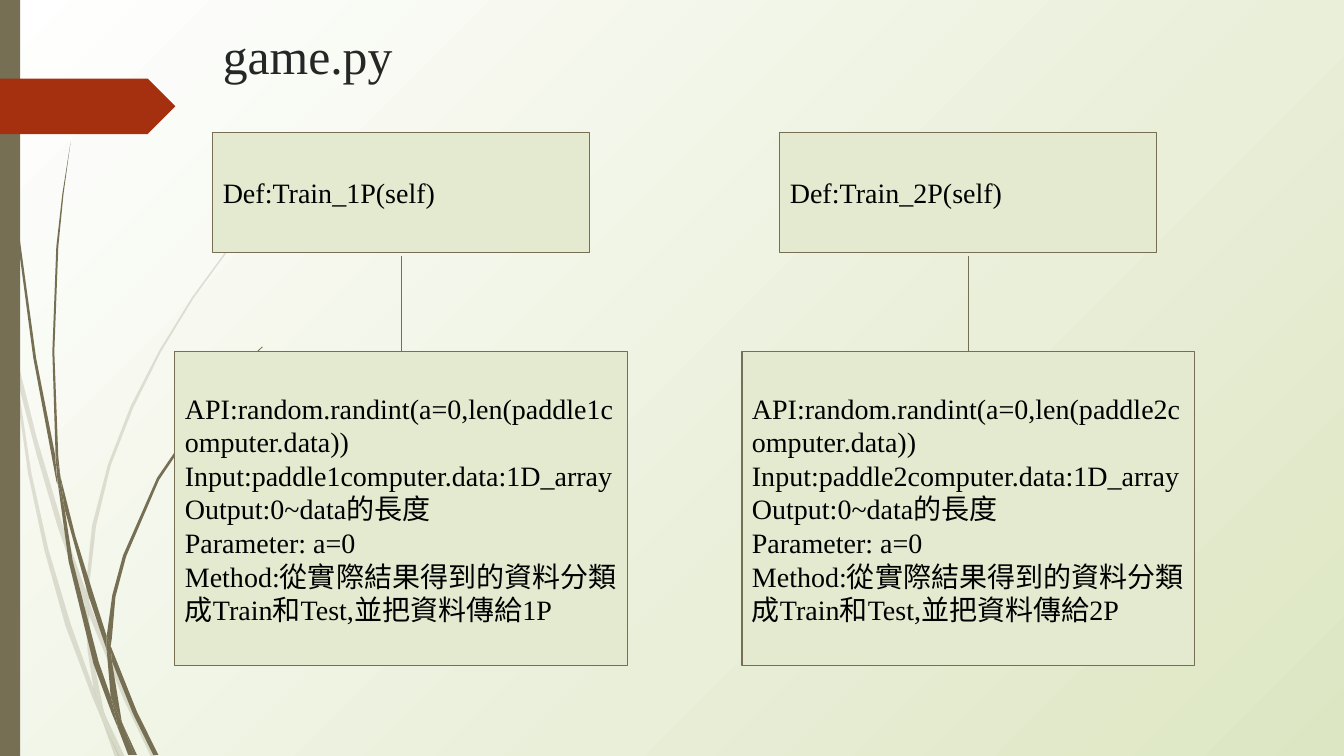
from dataclasses import dataclass

from lxml.etree import SubElement
from pptx import Presentation
from pptx.dml.color import RGBColor
from pptx.enum.shapes import MSO_CONNECTOR as Link, MSO_SHAPE as Preset
from pptx.enum.text import MSO_ANCHOR as Anchor, MSO_AUTO_SIZE as AutoSize, PP_ALIGN as Align
from pptx.oxml.ns import qn
from pptx.util import Cm, Pt


@dataclass(frozen=True)
class Theme:
    """Colours, font and type sizes of the slide."""
    olive: RGBColor = RGBColor(0x76, 0x6F, 0x54)
    rust: RGBColor = RGBColor(0xA5, 0x30, 0x10)
    panel: RGBColor = RGBColor(0xE3, 0xEA, 0xCF)
    white: RGBColor = RGBColor(0xFF, 0xFF, 0xFF)
    meadow: RGBColor = RGBColor(0xDD, 0xE6, 0xC3)
    heading: RGBColor = RGBColor(0x26, 0x26, 0x26)
    ink: RGBColor = RGBColor(0, 0, 0)
    font: str = "Times New Roman"
    title_size: float = 35.5
    body_size: float = 20
    outline: float = 0.75


@dataclass(frozen=True)
class Box:
    """A region of the slide, in centimetres."""
    left: float
    top: float
    width: float
    height: float

    def lengths(self):
        """Return the four measures as slide lengths."""
        return Cm(self.left), Cm(self.top), Cm(self.width), Cm(self.height)


THEME = Theme()
PAGE = Box(0, 0, 33.87, 19.05)

PALE_BLADES = [
    [(0.28, 8.89), (0.23, 8.18), (0, 7.16), (0, 7.59), (0.25, 8.74)],
    [(1.45, 13.26), (2.13, 15.21), (2.16, 14.88), (1.57, 13.21), (0.92, 11.01), (0.36, 8.76),
     (0.43, 9.55), (0.91, 11.41)],
    [(2.34, 15.42), (2.24, 15.14), (2.24, 15.49), (3.12, 17.63), (3.81, 19.08), (3.94, 19.08),
     (3.23, 17.58)],
    [(3.02, 19.08), (3.15, 19.08), (2.67, 18.06)],
    [(2.36, 17.35), (1.78, 15.72), (1.22, 13.84), (0.79, 11.91), (0.43, 9.55), (0.28, 8.89),
     (0.71, 11.94), (1.12, 13.87), (1.65, 15.77), (2.34, 17.6), (2.57, 18.14), (2.51, 17.96)],
    [(2.13, 15.21), (2.21, 16.41), (2.36, 17.35), (2.44, 17.58), (2.67, 18.06), (2.62, 17.93),
     (2.31, 16.41), (2.24, 15.49), (2.24, 15.44)],
    [(2.24, 14.83), (2.42, 13.26), (2.79, 11.73), (3.36, 10.27), (4.06, 8.86), (4.88, 7.51),
     (5.82, 6.22), (6.81, 5.03), (7.37, 4.45), (7.92, 3.91), (7.92, 3.89), (7.34, 4.45),
     (6.81, 5), (5.79, 6.2), (4.85, 7.48), (4.01, 8.84), (3.29, 10.24), (2.72, 11.71),
     (2.32, 13.25), (2.16, 14.83), (2.16, 14.88), (2.24, 15.14)],
    [(2.57, 18.14), (2.9, 19.08), (3.02, 19.08)],
    [(2.24, 15.44), (2.24, 15.49), (2.24, 15.14), (2.16, 14.88), (2.13, 15.21)],
    [(2.44, 17.58), (2.36, 17.35), (2.51, 17.96), (2.57, 18.14), (3, 19.08), (3.02, 19.08),
     (2.67, 18.06)],
]
DARK_BLADES = [
    [(0.18, 2.79), (0.43, 5.92), (0.84, 9.02), (1.42, 12.12), (1.45, 12.22), (1.4, 11.61),
     (1.4, 11.51), (0.91, 9.02), (0.48, 5.89), (0.2, 2.77), (0.13, 1.22), (0.1, 0),
     (0.08, 0), (0.1, 1.22)],
    [(2.24, 15.04), (2.69, 16.38), (2.69, 16.08), (2.69, 16.03), (2.36, 14.99), (1.9, 13.51),
     (1.52, 11.99), (1.63, 12.83)],
    [(2.87, 16.48), (2.79, 16.28), (2.82, 16.66), (3.35, 17.98), (3.86, 19.02), (3.99, 19.02),
     (3.45, 17.93)],
    [(2.79, 17.55), (2.49, 16.69), (1.83, 14.12), (1.63, 12.83), (1.45, 12.12), (1.73, 14.15),
     (2.36, 16.74), (2.82, 17.98), (2.97, 18.34), (2.95, 18.21)],
    [(1.52, 11.99), (1.47, 11.51), (1.37, 8.86), (1.47, 6.22), (1.6, 4.9), (1.78, 3.58),
     (1.57, 4.9), (1.42, 6.22), (1.32, 8.86), (1.4, 11.4)],
    [(3.38, 19.02), (3.45, 19.02), (3.1, 18.26)],
    [(1.45, 12.12), (1.63, 12.83), (1.52, 11.99), (1.4, 11.4), (1.4, 11.51)],
    [(2.82, 16.08), (2.91, 15.04), (3.18, 14.02), (4.01, 12.09), (5.21, 10.31), (5.87, 9.5),
     (6.22, 9.12), (6.63, 8.74), (6.6, 8.74), (6.22, 9.09), (5.87, 9.47), (5.16, 10.29),
     (3.96, 12.04), (3.1, 14), (2.83, 15), (2.69, 16.03), (2.79, 16.28)],
    [(2.97, 18.34), (3.23, 19.02), (3.33, 19.02)],
    [(2.69, 16.38), (2.79, 17.55), (2.95, 17.93), (3.1, 18.26), (3.07, 18.19), (2.82, 16.66),
     (2.77, 16.54)],
    [(2.69, 16.38), (2.77, 16.54), (2.82, 16.66), (2.79, 16.28), (2.69, 16.03)],
    [(2.95, 17.93), (2.79, 17.55), (2.95, 18.21), (2.97, 18.34), (3.3, 19.02), (3.38, 19.02),
     (3.1, 18.26)],
]


def paint(shape, color, opacity=None):
    """Fill a shape flatly, without outline or shadow."""
    shape.shadow.inherit = False
    shape.fill.solid()
    shape.fill.fore_color.rgb = color
    shape.line.fill.background()
    if opacity is not None:
        swatch = shape._element.spPr.find(f"{qn('a:solidFill')}/{qn('a:srgbClr')}")
        SubElement(swatch, qn("a:alpha")).set("val", str(opacity * 1000))


def write(frame, lines, size, color):
    """Set left-aligned paragraphs in the theme font."""
    frame.text = "\n".join(lines)
    for paragraph in frame.paragraphs:
        paragraph.alignment = Align.LEFT
        for run in paragraph.runs:
            run.font.name = THEME.font
            run.font.size = Pt(size)
            run.font.color.rgb = color


def add_backdrop(slide):
    """Spread the gradient from the top left corner."""
    backdrop = slide.background.fill
    backdrop.gradient()
    for stop, color, position in zip(backdrop.gradient_stops, (THEME.white, THEME.meadow), (0, 1)):
        stop.color.rgb = color
        stop.position = position
    gradient = slide._element.find(f".//{qn('p:bgPr')}/{qn('a:gradFill')}")
    gradient.remove(gradient.find(qn("a:lin")))
    spread = SubElement(gradient, qn("a:path"), path="circle")
    SubElement(spread, qn("a:fillToRect"), l="0", t="0", r="100000", b="100000")


def add_blade(slide, box, edge, opacity=None):
    """Draw one piece of a grass blade from its edge points."""
    points = [(Cm(box.left + x), Cm(box.top + y)) for x, y in edge]
    outline = slide.shapes.build_freeform(*points[0], scale=1.0)
    outline.add_line_segments(points[1:], close=True)
    paint(outline.convert_to_shape(), THEME.olive, opacity)


def add_side_decoration(slide, box):
    """Draw the grass, the side bar and the arrow tag."""
    for blades, opacity in ((PALE_BLADES, 20), (DARK_BLADES, None)):
        for edge in blades:
            add_blade(slide, box, edge, opacity)
    bar = Box(box.left, box.top, 0.51, box.height)
    tag = Box(box.left, box.top + 1.98, 4.42, 1.4)
    for preset, place, color in ((Preset.RECTANGLE, bar, THEME.olive),
                                 (Preset.PENTAGON, tag, THEME.rust)):
        paint(slide.shapes.add_shape(preset, *place.lengths()), color)


def add_title(slide, box, wording):
    """Place the title placeholder in its box."""
    title = slide.shapes.title
    title.left, title.top, title.width, title.height = box.lengths()
    frame = title.text_frame
    frame.word_wrap = True
    frame.auto_size = AutoSize.NONE
    frame.vertical_anchor = Anchor.TOP
    write(frame, [wording], THEME.title_size, THEME.heading)


def add_panel(slide, box, lines):
    """Draw an outlined box holding the lines and return it."""
    panel = slide.shapes.add_shape(Preset.RECTANGLE, *box.lengths())
    paint(panel, THEME.panel)
    panel.line.color.rgb = THEME.olive
    panel.line.width = Pt(THEME.outline)
    frame = panel.text_frame
    frame.word_wrap = True
    frame.vertical_anchor = Anchor.MIDDLE
    frame.margin_left = frame.margin_right = frame.margin_top = frame.margin_bottom = Cm(0.25)
    write(frame, lines, THEME.body_size, THEME.ink)
    return panel


def add_player_column(slide, box, player):
    """Draw a training function above its details, joined by a line."""
    middle = box.left + box.width / 2
    add_panel(slide, Box(middle - 4.75, box.top, 9.5, 3.04), [f"Def:Train_{player}P(self)"])
    details = add_panel(slide, Box(box.left, box.top + 5.54, box.width, box.height - 5.54), [
        f"API:random.randint(a=0,len(paddle{player}computer.data))",
        f"Input:paddle{player}computer.data:1D_array",
        "Output:0~data的長度",
        "Parameter: a=0",
        f"Method:從實際結果得到的資料分類成Train和Test,並把資料傳給{player}P",
    ])
    stem = slide.shapes.add_connector(
        Link.STRAIGHT, Cm(middle), Cm(box.top + 3.12), Cm(middle), Cm(box.top + 5.54))
    stem.end_connect(details, 0)
    stem.line.color.rgb = THEME.olive
    stem.line.width = Pt(THEME.outline)
    SubElement(stem._element.spPr, qn("a:effectLst"))


def main():
    """Build and save the slide."""
    deck = Presentation()
    deck.slide_width, deck.slide_height = Cm(PAGE.width), Cm(PAGE.height)
    slide = deck.slides.add_slide(deck.slide_layouts[5])
    add_backdrop(slide)
    add_side_decoration(slide, PAGE)
    add_title(slide, Box(5.36, 0.49, 24.74, 3.56), "game.py")
    for index in range(2):
        add_player_column(slide, Box(4.41 + 14.29 * index, 3.33, 11.41, 13.44), index + 1)
    deck.save("out.pptx")


if __name__ == "__main__":
    main()
